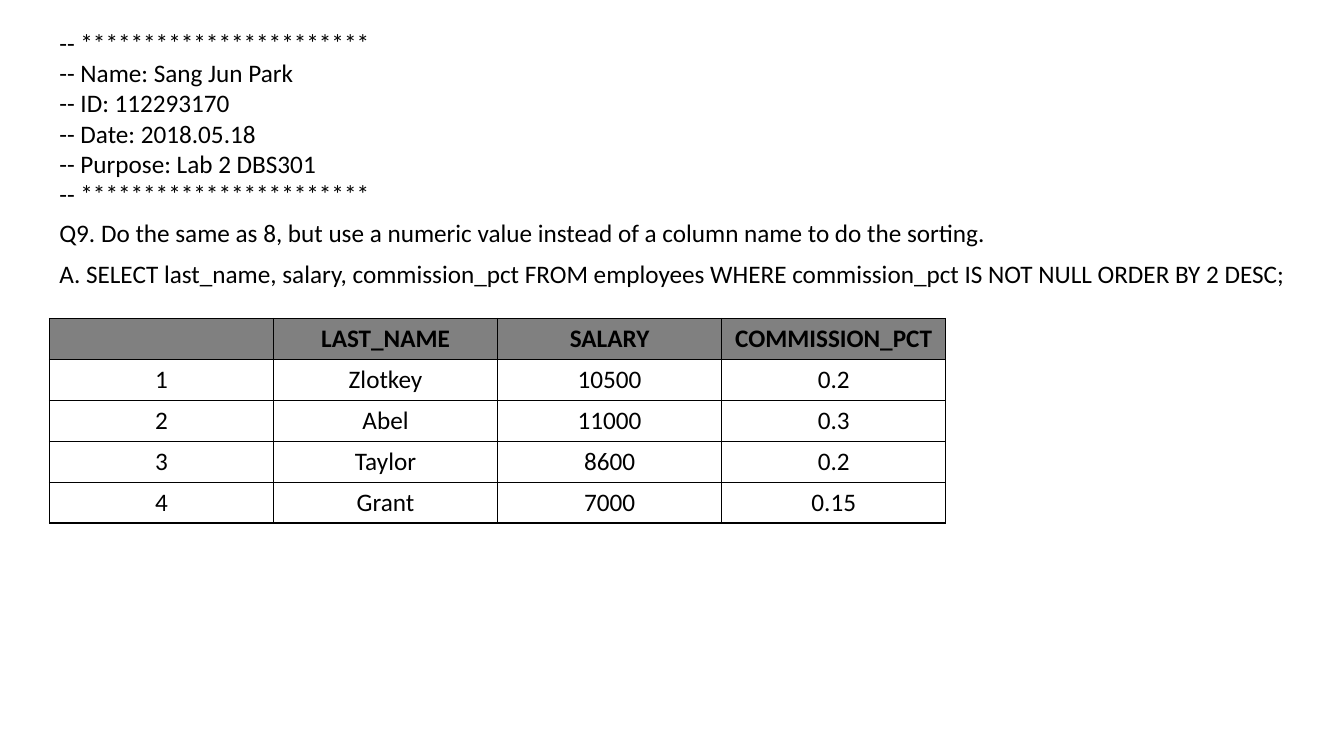
from lxml import etree
from pptx import Presentation
from pptx import util as u
from pptx.dml.color import RGBColor
from pptx.enum import text
from pptx.oxml.ns import qn


def rgb(value):
    return RGBColor.from_string(value)


def write(p, content, size=18, font="Calibri", color="000000", bold=False,
          align=text.PP_ALIGN.LEFT, spacing=None, before=0):
    p.alignment = align
    p.line_spacing = spacing
    p.space_before = u.Pt(before)
    r = p.add_run()
    r.text = content
    r.font.size = u.Pt(size)
    r.font.name = font
    r.font.bold = bold
    r.font.color.rgb = rgb(color)


class Deck:
    """Hold the style and the current slide, and add elements to it."""

    header_fill = "808080"
    body_fill = "FFFFFF"
    border = "000000"

    def __init__(self, prs):
        self.s = prs.slides.add_slide(prs.slide_layouts[6])

    def text_box(self, left, top, width, height, lines, **fmt):
        sp = self.s.shapes.add_textbox(
            u.Inches(left), u.Inches(top), u.Inches(width), u.Inches(height))
        tf = sp.text_frame
        tf.word_wrap = True
        for i, line in enumerate(lines):
            p = tf.add_paragraph() if i else tf.paragraphs[0]
            write(p, line, **fmt)

    def cell_borders(self, cell):
        tc_pr = cell._tc.get_or_add_tcPr()
        for i, side in enumerate(("a:lnL", "a:lnR", "a:lnT", "a:lnB")):
            ln = etree.Element(qn(side), w=str(u.Pt(1)))
            fill = etree.SubElement(ln, qn("a:solidFill"))
            etree.SubElement(fill, qn("a:srgbClr"), val=self.border)
            tc_pr.insert(i, ln)

    def table(self, left, top, width, height, rows):
        tb = self.s.shapes.add_table(
            len(rows), len(rows[0]), u.Inches(left), u.Inches(top),
            u.Inches(width), u.Inches(height)).table
        for i, row in enumerate(rows):
            for j, value in enumerate(row):
                cell = tb.cell(i, j)
                cell.fill.solid()
                cell.fill.fore_color.rgb = rgb(
                    self.body_fill if i else self.header_fill)
                self.cell_borders(cell)
                if value:
                    write(cell.text_frame.paragraphs[0], value, bold=i == 0,
                          align=text.PP_ALIGN.CENTER)


prs = Presentation()
prs.slide_width = u.Inches(13.33)
prs.slide_height = u.Inches(7.5)
deck = Deck(prs)

rule = "-- " + "*" * 23
deck.text_box(0.49, 0.22, 6.67, 1.92, [
    rule,
    "-- Name: Sang Jun Park",
    "-- ID: 112293170",
    "-- Date: 2018.05.18",
    "-- Purpose: Lab 2 DBS301",
    rule,
])
deck.text_box(0.49, 2.14, 12.44, 0.84, [
    "Q9. Do the same as 8, but use a numeric value instead of a column name "
    "to do the sorting.",
    "A. SELECT last_name, salary, commission_pct FROM employees "
    "WHERE commission_pct IS NOT NULL ORDER BY 2 DESC;",
], spacing=0.9, before=10)

employees = [
    ("Zlotkey", "10500", "0.2"),
    ("Abel", "11000", "0.3"),
    ("Taylor", "8600", "0.2"),
    ("Grant", "7000", "0.15"),
]
header = ("", "LAST_NAME", "SALARY", "COMMISSION_PCT")
deck.table(0.49, 3.16, 8.89, 2.03, [header] + [
    (str(n), *employee) for n, employee in enumerate(employees, 1)])

prs.save("out.pptx")
